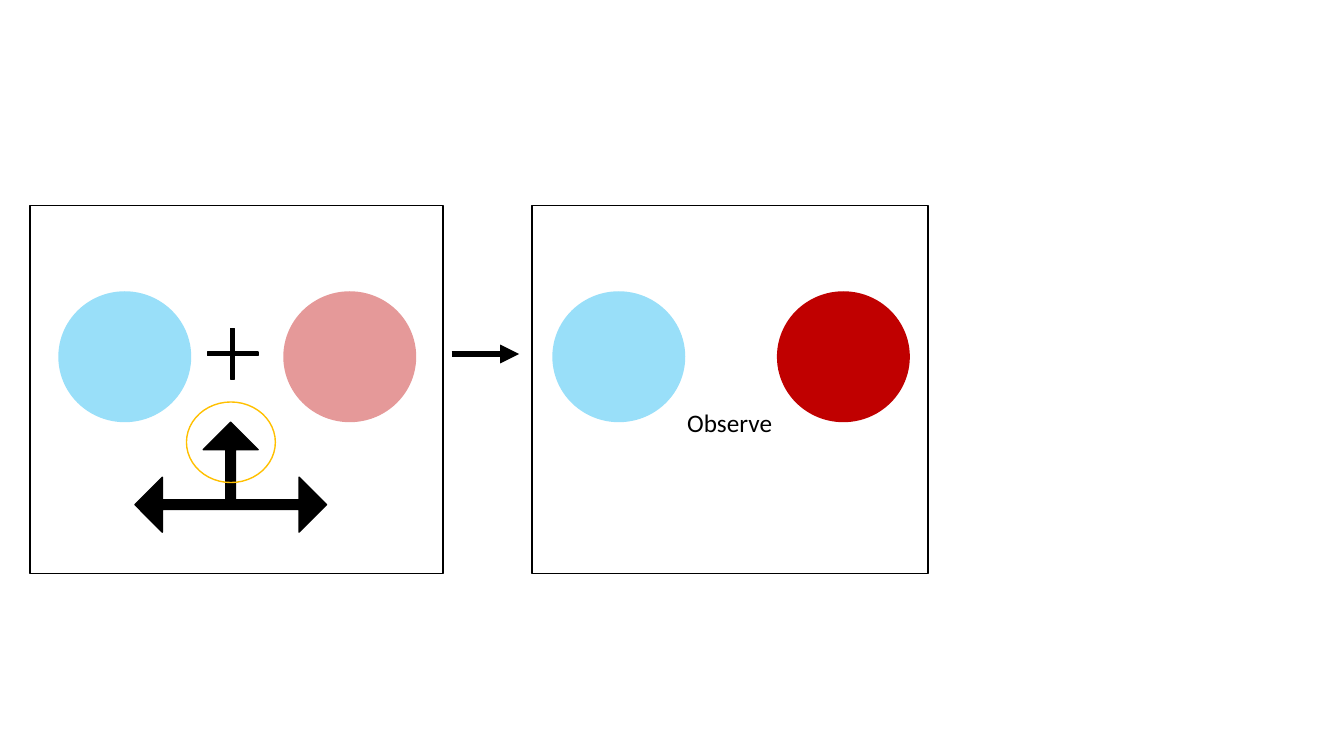
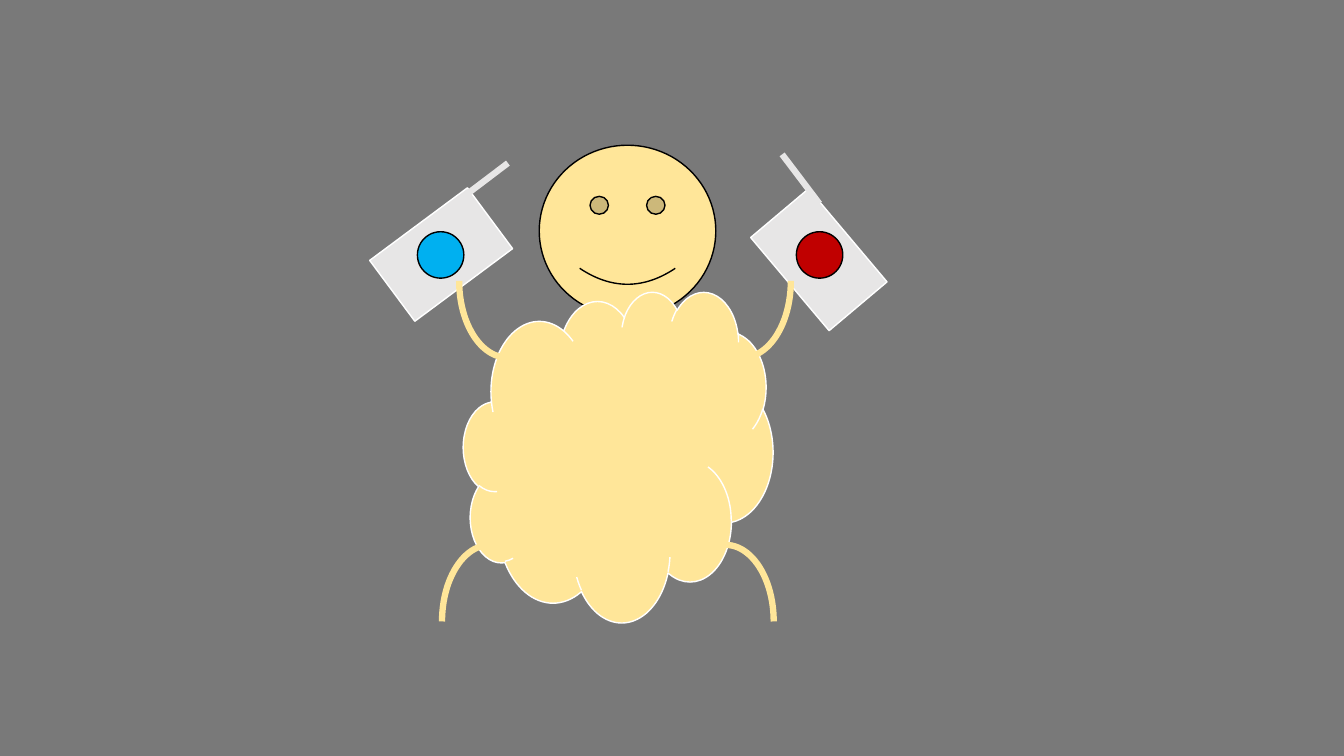
from lxml import etree
from pptx import Presentation
from pptx.dml.color import RGBColor
from pptx.enum.shapes import MSO_CONNECTOR, MSO_SHAPE as Preset
from pptx.oxml.ns import qn
from pptx.util import Cm, Pt

BLACK = RGBColor(0x00, 0x00, 0x00)
WHITE = RGBColor(0xFF, 0xFF, 0xFF)
BLUE = RGBColor(0x00, 0xB0, 0xF0)
RED = RGBColor(0xC0, 0x00, 0x00)
GOLD = RGBColor(0xFF, 0xC0, 0x00)
SKIN = RGBColor(0xFF, 0xE6, 0x99)
CLOTH = RGBColor(0xE7, 0xE6, 0xE6)
GREY = RGBColor(0x79, 0x79, 0x79)
THIN, THICK = Pt(1), Pt(4.5)


def add_figure(slide, preset, box, fill=None, line=None, width=THIN,
               rotation=0, adjust=(), opacity=100):
    """Add a preset shape; box is left, top, width, height in cm."""
    figure = slide.shapes.add_shape(preset, *map(Cm, box))
    figure.shadow.inherit = False
    figure.rotation = rotation
    for index, value in enumerate(adjust):
        figure.adjustments[index] = value
    if fill is None:
        figure.fill.background()
    else:
        figure.fill.solid()
        figure.fill.fore_color.rgb = fill
        if opacity < 100:
            color = figure.fill._xPr.find(qn("a:solidFill"))[0]
            etree.SubElement(color, qn("a:alpha"), val=str(opacity * 1000))
    if line is None:
        figure.line.fill.background()
    else:
        figure.line.color.rgb = line
        figure.line.width = width


def add_stroke(slide, ends, color, arrow=False):
    """Add a thick straight line; ends is x1, y1, x2, y2 in cm."""
    stroke = slide.shapes.add_connector(MSO_CONNECTOR.STRAIGHT, *map(Cm, ends))
    stroke.line.color.rgb = color
    stroke.line.width = THICK
    if arrow:
        etree.SubElement(stroke.line._get_or_add_ln(), qn("a:tailEnd"), type="triangle")
    etree.SubElement(stroke._element.spPr, qn("a:effectLst"))


prs = Presentation()
prs.slide_width, prs.slide_height = Cm(33.87), Cm(19.05)
blank = prs.slide_layouts[6]

# Trial sequence: choice screen, then observation screen
trial = prs.slides.add_slide(blank)
for left, color, opacity in ((1.47, BLUE, 40), (7.14, RED, 40),
                             (13.92, BLUE, 40), (19.58, RED, 100)):
    add_figure(trial, Preset.OVAL, (left, 7.34, 3.35, 3.3), color, opacity=opacity)

add_stroke(trial, (11.38, 8.92, 13.08, 8.92), BLACK, arrow=True)

observe = trial.shapes.add_textbox(Cm(17.07), Cm(10.13), Cm(3.35), Cm(1.02)).text_frame
observe.word_wrap = True
observe.text = "Observe"
font = observe.paragraphs[0].runs[0].font
font.name, font.size = "Calibri", Pt(18)
font.color.rgb = BLACK

add_figure(trial, Preset.LEFT_RIGHT_UP_ARROW, (3.4, 10.64, 4.83, 2.77), BLACK, BLACK,
           adjust=(0.087, 0.25, 0.25))
add_figure(trial, Preset.OVAL, (4.7, 10.13, 2.24, 2.03), line=GOLD)
add_figure(trial, Preset.CROSS, (5.23, 8.28, 1.27, 1.27), BLACK, BLACK, adjust=(0.462,))
for left, width in ((0.76, 10.41), (13.41, 9.98)):
    add_figure(trial, Preset.RECTANGLE, (left, 5.18, width, 9.27), line=BLACK)

# Flag bearer
bearer = prs.slides.add_slide(blank)
bearer.background.fill.solid()
bearer.background.fill.fore_color.rgb = GREY

add_figure(bearer, Preset.SMILEY_FACE, (13.59, 3.66, 4.45, 4.32), SKIN, BLACK)
for left, top, rotation in ((19.1, 5.59, 49.9), (9.58, 5.46, 143.4)):
    add_figure(bearer, Preset.RECTANGLE, (left, top, 3.07, 1.91), CLOTH, WHITE,
               rotation=rotation)
for left, color in ((20.07, RED), (10.52, BLUE)):
    add_figure(bearer, Preset.OVAL, (left, 5.84, 1.17, 1.17), color, BLACK)
for pole in ((20.65, 5.13, 19.71, 3.89), (11.15, 5.36, 12.8, 4.11)):
    add_stroke(bearer, pole, CLOTH)

add_figure(bearer, Preset.CLOUD, (11.68, 7.34, 7.8, 8.33), SKIN, WHITE)
# Arms, then legs
for left, top, rotation in ((13.82, 4.83, 90), (13.39, 9.55, 270)):
    add_figure(bearer, Preset.RIGHT_BRACE, (left, top, 3.86, 8.36), line=SKIN,
               width=THICK, rotation=rotation, adjust=(0.314, 0.5))

prs.save("out.pptx")
